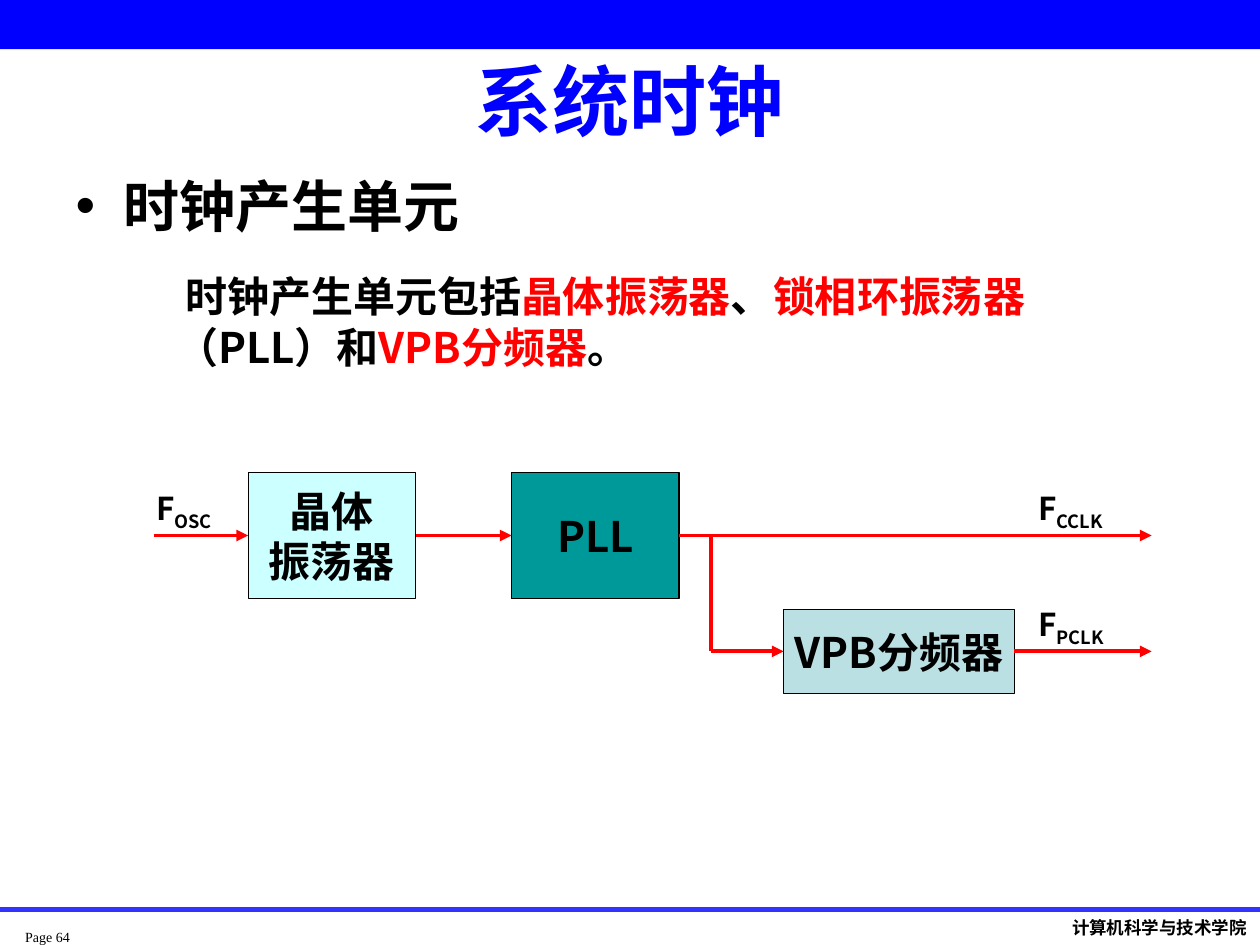
from pptx import Presentation
from pptx.dml.color import RGBColor
from pptx.enum.shapes import MSO_CONNECTOR, MSO_SHAPE
from pptx.enum.text import MSO_ANCHOR, MSO_AUTO_SIZE, PP_ALIGN
from pptx.oxml.ns import qn
from pptx.util import Inches, Pt
from lxml.etree import SubElement

COLORS = {
    "black": "000000", "blue": "0000FF", "red": "FF0000", "rule": "3333FF",
    "oscillator": "CCFFFF", "pll": "009999", "divider": "BBE0E3",
}
CJK = "Noto Sans CJK SC"

# Formats
TITLE = {"size": Pt(44), "name": "Arial", "bold": True}
HEADING = {"size": Pt(32), "name": "Arial", "bold": True}
MAIN = {"size": Pt(24), "name": CJK, "bold": True}
SIGNAL = {"size": Pt(18), "name": CJK, "bold": True}
PAGE = {"size": Pt(8), "name": "Times New Roman", "bold": False}
SCHOOL = {"size": Pt(10), "name": "Karla", "bold": True}

# Content: runs are (text, colour)
title_text = "系统时钟"
heading_text = "时钟产生单元"
sentence = [
    ("时钟产生单元包括", "black"), ("晶体振荡器", "red"), ("、", "black"),
    ("锁相环振荡器", "red"), ("（PLL）和", "black"), ("VPB分频器", "red"),
    ("。", "black"),
]

# Diagram: left, centre height, width, height
CLOCK_Y, BUS_Y, BRANCH_X, OUT_X = 4.25, 5.17, 5.64, 9.14
blocks = {
    "oscillator": (["晶体", "振荡器"], 1.97, CLOCK_Y, 1.33, 1),
    "pll": (["PLL"], 4.06, CLOCK_Y, 1.33, 1),
    "divider": (["VPB分频器"], 6.22, BUS_Y, 1.83, 0.67),
}
# Wires: an end is a point or (block, side); the last value asks for an arrowhead
LEFT, RIGHT = 1, 3
wires = [
    ((1.22, CLOCK_Y), ("oscillator", LEFT), True),
    (("oscillator", RIGHT), ("pll", LEFT), True),
    (("pll", RIGHT), (OUT_X, CLOCK_Y), True),
    ((BRANCH_X, CLOCK_Y), (BRANCH_X, BUS_Y), False),
    ((BRANCH_X, BUS_Y), ("divider", LEFT), True),
    (("divider", RIGHT), (OUT_X, BUS_Y), True),
]
# Signal names: subscript, left, height of the wire, width
signals = [("OSC", 1.14, CLOCK_Y, 0.75), ("CCLK", 8.14, CLOCK_Y, 1),
           ("PCLK", 8.14, BUS_Y, 1)]


def rgb(color):
    return RGBColor.from_string(COLORS[color])


def place(shape, *box):
    for side, value in zip(("left", "top", "width", "height"), box):
        setattr(shape, side, Inches(value))


def add_run(paragraph, text, form, color="black"):
    run = paragraph.add_run()
    run.text = text
    for key, value in form.items():
        setattr(run.font, key, value)
    run.font.color.rgb = rgb(color)
    if form["name"] == CJK:
        SubElement(run.font._element, qn("a:ea"), typeface=CJK)
    return run


def add_label(box, runs, form, margins=(0.1, 0.05)):
    label = slide.shapes.add_textbox(*map(Inches, box))
    frame = label.text_frame
    frame.word_wrap = True
    frame.margin_left = frame.margin_right = Inches(margins[0])
    frame.margin_top = frame.margin_bottom = Inches(margins[1])
    paragraph = frame.paragraphs[0]
    for text, color in runs:
        add_run(paragraph, text, form, color)
    return paragraph


def add_rect(left, top, width, height, color):
    rect = slide.shapes.add_shape(
        MSO_SHAPE.RECTANGLE, *map(Inches, (left, top, width, height)))
    rect.shadow.inherit = False
    rect.fill.solid()
    rect.fill.fore_color.rgb = rgb(color)
    return rect


def add_line(start, end, color, width, arrow=False):
    points = [(0, 0) if end_[0] in shapes else end_ for end_ in (start, end)]
    line = slide.shapes.add_connector(
        MSO_CONNECTOR.STRAIGHT, *(Inches(v) for point in points for v in point))
    if start[0] in shapes:
        line.begin_connect(shapes[start[0]], start[1])
    if end[0] in shapes:
        line.end_connect(shapes[end[0]], end[1])
    line.line.color.rgb = rgb(color)
    line.line.width = Pt(width)
    if arrow:
        SubElement(line.line._get_or_add_ln(), qn("a:tailEnd"), type="triangle")
    SubElement(line._element.spPr, qn("a:effectLst"))


prs = Presentation()
prs.slide_width, prs.slide_height = Inches(10), Inches(7.5)
slide = prs.slides.add_slide(prs.slide_layouts[1])
title, body = slide.placeholders
shapes = {}

# Top band and footer
add_rect(0, 0, 10, 0.39, "blue").line.fill.background()
add_label((0.2, 7.37, 0.63, 0.27), [("Page 64", "black")], PAGE, (0, 0))
add_label((8.41, 7.23, 1.59, 0.27), [("计算机科学与技术学院", "black")], SCHOOL)
add_line((0, 7.22), (10, 7.22), "rule", 3)

# Title and heading
place(title, 0.5, 0.44, 9, 0.71)
place(body, 0.5, 1.31, 9.07, 0.79)
for holder, anchor in ((title, MSO_ANCHOR.MIDDLE), (body, MSO_ANCHOR.TOP)):
    holder.text_frame.auto_size = MSO_AUTO_SIZE.NONE
    holder.text_frame.vertical_anchor = anchor
title_line = title.text_frame.paragraphs[0]
title_line.alignment = PP_ALIGN.CENTER
add_run(title_line, title_text, TITLE, "blue")

heading = body.text_frame.paragraphs[0]
heading.space_before = Pt(0)
props = heading._p.get_or_add_pPr()
props.set("marL", str(Inches(0.38)))
props.set("indent", str(Inches(-0.38)))
SubElement(props, qn("a:buChar"), char="•")
add_run(heading, heading_text, HEADING)

# Sentence, with a slight first-line indent
intro = add_label((1.3, 2.1, 7.58, 0.9), sentence, MAIN)
intro._p.get_or_add_pPr().set("indent", str(Inches(0.07)))

# Clock diagram
for name, (lines, left, middle, width, height) in blocks.items():
    block = add_rect(left, middle - height / 2, width, height, name)
    block.line.color.rgb = rgb("black")
    block.line.width = Pt(0.75)
    frame = block.text_frame
    frame.word_wrap = False
    frame.vertical_anchor = MSO_ANCHOR.MIDDLE
    for i, text in enumerate(lines):
        paragraph = frame.add_paragraph() if i else frame.paragraphs[0]
        paragraph.alignment = PP_ALIGN.CENTER
        add_run(paragraph, text, MAIN)
    shapes[name] = block

for start, end, arrow in wires:
    add_line(start, end, "red", 2.25, arrow)

for subscript, left, wire_y, width in signals:
    signal = add_label((left, wire_y - 0.42, width, 0.44), [("F", "black")], SIGNAL)
    add_run(signal, subscript, SIGNAL).font._element.set("baseline", "-25000")

prs.save("out.pptx")
